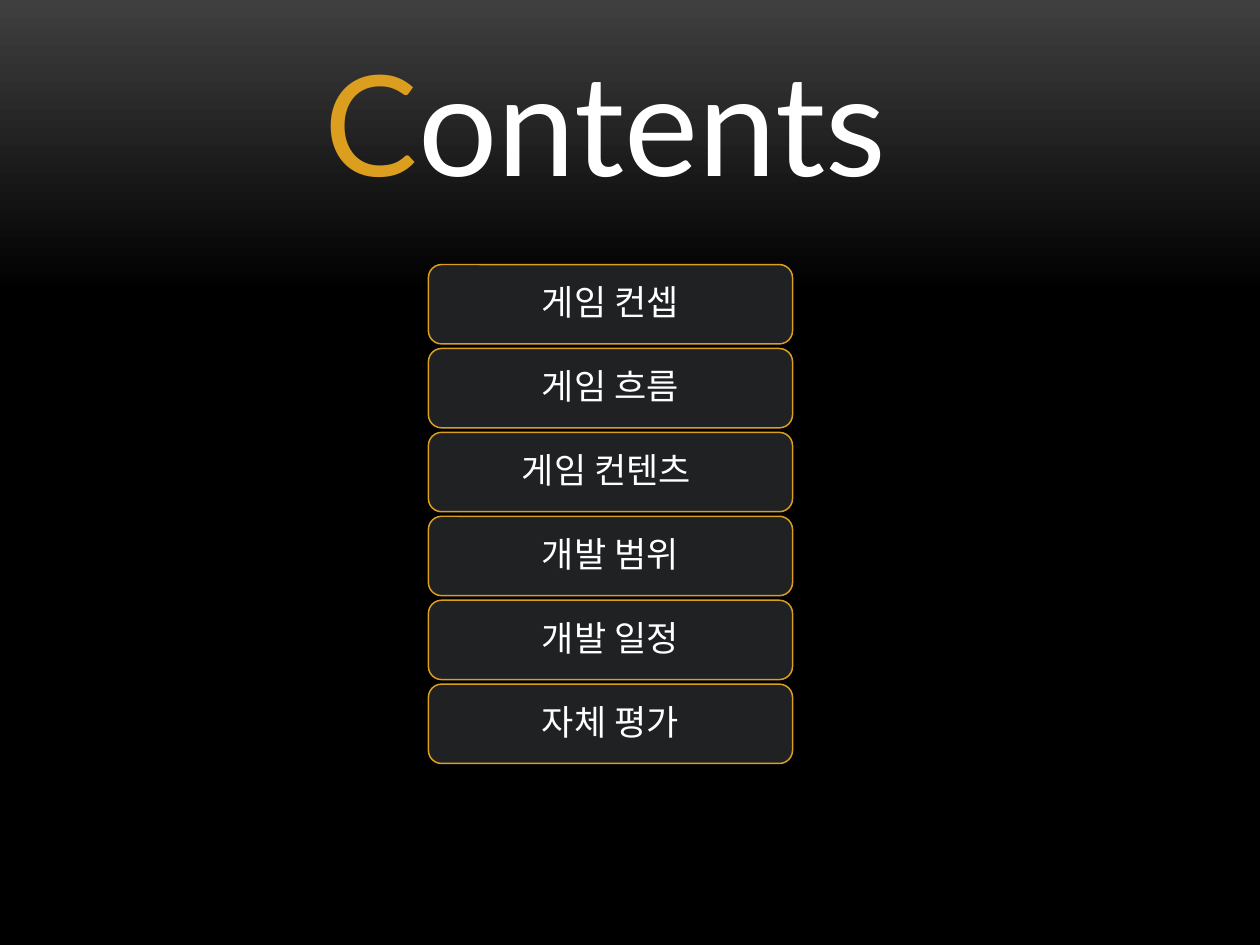
from lxml.etree import SubElement
from pptx import Presentation
from pptx.dml.color import RGBColor
from pptx.enum.shapes import MSO_SHAPE
from pptx.enum.text import MSO_ANCHOR, MSO_AUTO_SIZE, PP_ALIGN
from pptx.oxml.ns import qn
from pptx.util import Inches, Pt

COLORS = {
    "glow": "3F3F3F",
    "black": "000000",
    "panel": "1F2123",
    "gold": "DC9E1F",
    "white": "FFFFFF",
}
TOPICS = ["게임 컨셉", "게임 흐름", "게임 컨텐츠 ", "개발 범위", "개발 일정", "자체 평가"]
FIRST_TOP, LAST_TOP = 2.1, 5.43
PITCH = (LAST_TOP - FIRST_TOP) / (len(TOPICS) - 1)
FRAME_FORMAT = {
    "word_wrap": True,
    "vertical_anchor": MSO_ANCHOR.MIDDLE,
    "margin_left": Inches(0.08),
    "margin_right": Inches(0.08),
    "margin_top": Inches(0.04),
    "margin_bottom": Inches(0.04),
}
PARAGRAPH_FORMAT = {
    "alignment": PP_ALIGN.CENTER,
    "line_spacing": 0.9,
    "space_after": Pt(7),
}


def set_values(target, values):
    for name, value in values.items():
        setattr(target, name, value)


def add_run(paragraph, text, size, font_name, color):
    run = paragraph.add_run()
    run.text = text
    set_values(run.font, {"size": Pt(size), "name": font_name})
    run.font.color.rgb = RGBColor.from_string(COLORS[color])
    SubElement(run.font._element, qn("a:ea"), typeface=font_name)


presentation = Presentation()
set_values(presentation, {"slide_width": Inches(10), "slide_height": Inches(7.5)})
slide = presentation.slides.add_slide(presentation.slide_layouts[6])

background = slide.background.fill
background.gradient()
background.gradient_angle = 270
for stop, position, color in zip(background.gradient_stops, (0, 0.31), ("glow", "black")):
    stop.position = position
    stop.color.rgb = RGBColor.from_string(COLORS[color])

for index, topic in enumerate(TOPICS):
    shape = slide.shapes.add_shape(
        MSO_SHAPE.ROUNDED_RECTANGLE,
        Inches(3.4), Inches(FIRST_TOP + index * PITCH), Inches(2.89), Inches(0.63),
    )
    shape.shadow.inherit = False
    shape.fill.solid()
    shape.fill.fore_color.rgb = RGBColor.from_string(COLORS["panel"])
    shape.line.color.rgb = RGBColor.from_string(COLORS["gold"])
    shape.line.width = Pt(0.85)
    set_values(shape.text_frame, FRAME_FORMAT)
    paragraph = shape.text_frame.paragraphs[0]
    set_values(paragraph, PARAGRAPH_FORMAT)
    add_run(paragraph, topic, 20, "Noto Sans CJK KR", "white")

title = slide.shapes.add_textbox(Inches(2.48), Inches(0.24), Inches(4.8), Inches(1.45))
set_values(title.text_frame, {"word_wrap": True, "auto_size": MSO_AUTO_SIZE.SHAPE_TO_FIT_TEXT})
for text, color in (("C", "gold"), ("ontents", "white")):
    add_run(title.text_frame.paragraphs[0], text, 80, "Lato", color)

presentation.save("out.pptx")
